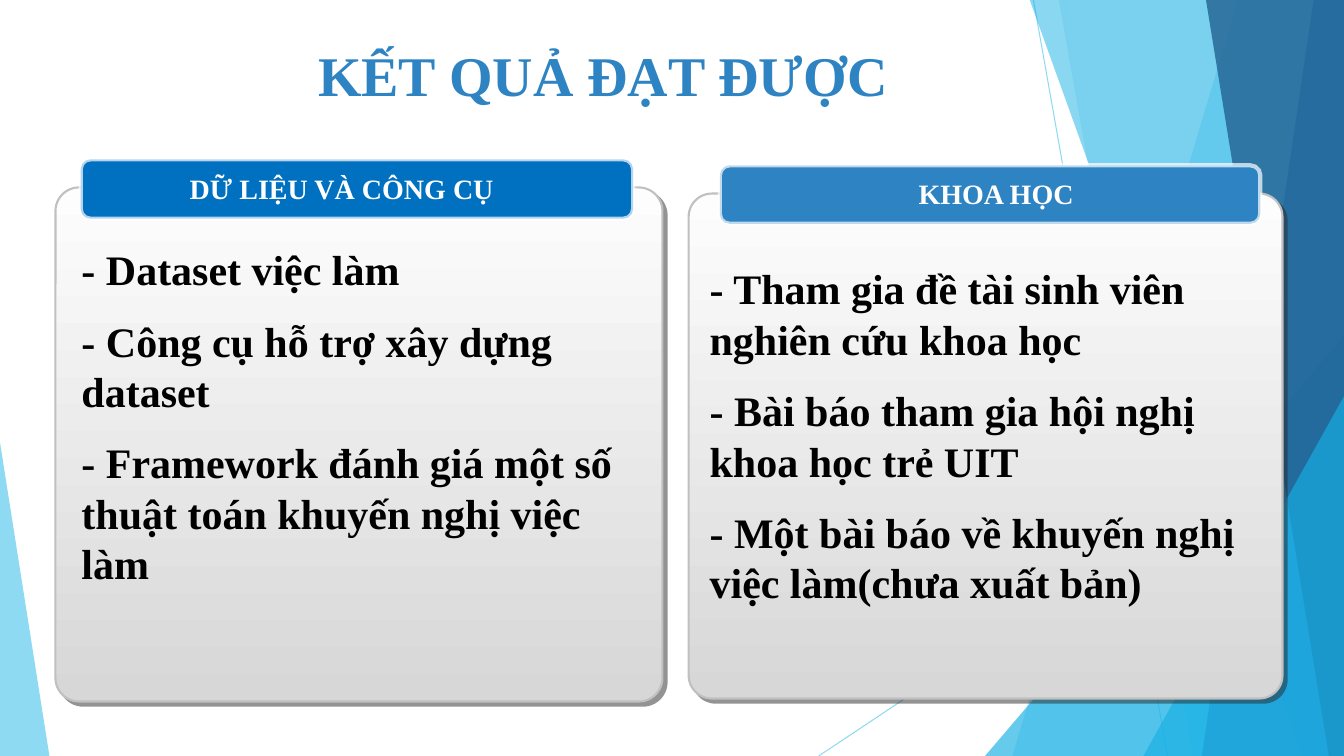
import pptx
import pptx.dml.color
import pptx.enum.dml
import pptx.enum.shapes
import pptx.enum.text
import pptx.oxml
import pptx.oxml.ns
import pptx.util

Inches = pptx.util.Inches
Pt = pptx.util.Pt
SHAPES = pptx.enum.shapes.MSO_SHAPE
ALIGN = pptx.enum.text.PP_ALIGN
ANCHOR = pptx.enum.text.MSO_ANCHOR

WIDTH, HEIGHT, TOP = 13.33, 7.5, -0.01
SKY, CYAN, BLUE, NAVY = "5FCBEF", "17B0E4", "2E83C3", "226292"
SHADOW = (
    f'<a:effectLst {pptx.oxml.ns.nsdecls("a")}>'
    '<a:outerShdw blurRad="0" dist="53340" dir="2700000" algn="ctr" rotWithShape="0">'
    '<a:srgbClr val="292929"><a:alpha val="50000"/></a:srgbClr>'
    '</a:outerShdw></a:effectLst>'
)


def color(value):
    return pptx.dml.color.RGBColor.from_string(value)


def set_alpha(fill_parent, percent):
    """Make the solid fill found below an element partly transparent."""
    solid = fill_parent.find(pptx.oxml.ns.qn("a:solidFill"))
    alpha = pptx.oxml.parse_xml(
        f'<a:alpha {pptx.oxml.ns.nsdecls("a")} val="{percent * 1000}"/>')
    solid[0].append(alpha)


def write(box, lines, size=20, ink="000000", align=ALIGN.LEFT, before=0,
          wrap=True, anchor=ANCHOR.TOP, font="Times New Roman"):
    frame = box.text_frame
    frame.word_wrap = wrap
    frame.vertical_anchor = anchor
    for index, line in enumerate(lines):
        para = frame.add_paragraph() if index else frame.paragraphs[0]
        para.alignment = align
        para.space_before = Pt(before)
        span = para.add_run()
        span.text = line
        span.font.name = font
        span.font.size = Pt(size)
        span.font.bold = True
        span.font.color.rgb = color(ink)


class Painter:
    def __init__(self, page):
        self.page = page

    def paint(self, shape, fill, alpha=100):
        shape.shadow.inherit = False
        shape.fill.solid()
        shape.fill.fore_color.rgb = color(fill)
        shape.line.fill.background()
        if alpha < 100:
            set_alpha(shape._element.spPr, alpha)

    def outline(self, shape, ink, width, alpha=100):
        shape.line.color.rgb = color(ink)
        shape.line.width = Pt(width)
        if alpha < 100:
            set_alpha(shape.line._get_or_add_ln(), alpha)

    def shape(self, kind, place, adjust, fill, alpha=100):
        shape = self.page.shapes.add_shape(kind, *map(Inches, place))
        shape.adjustments[0] = adjust
        self.paint(shape, fill, alpha)
        return shape

    def line(self, start, end):
        line = self.page.shapes.add_connector(
            pptx.enum.shapes.MSO_CONNECTOR.STRAIGHT, *map(Inches, start + end))
        line._element.spPr.append(pptx.oxml.parse_xml(
            f'<a:effectLst {pptx.oxml.ns.nsdecls("a")}/>'))
        self.outline(line, SKY, 0.75, 70)

    def band(self, top_left, bottom_left, fill, alpha):
        """Slanted band that reaches the right edge of the page."""
        corners = [(top_left, TOP), (WIDTH, TOP), (WIDTH, HEIGHT), (bottom_left, HEIGHT)]
        points = [(Inches(x), Inches(y)) for x, y in corners]
        builder = self.page.shapes.build_freeform(*points[0], scale=1.0)
        builder.add_line_segments(points[1:], close=True)
        self.paint(builder.convert_to_shape(), fill, alpha)

    def panel(self, place):
        panel = self.shape(SHAPES.ROUNDED_RECTANGLE, place, 0.046, "FDFDFD")
        panel.fill.gradient()
        panel.fill.gradient_angle = 270
        for stop, shade, position in zip(panel.fill.gradient_stops, ("FDFDFD", "D7D7D7"), (0, 1)):
            stop.color.rgb = color(shade)
            stop.position = position
        self.outline(panel, "C0C0C0", 1.5)
        properties = panel._element.spPr
        properties.remove(properties.find(pptx.oxml.ns.qn("a:effectLst")))
        properties.append(pptx.oxml.parse_xml(SHADOW))

    def header(self, place, fill):
        header = self.shape(SHAPES.ROUNDED_RECTANGLE, place, 0.167, fill)
        self.outline(header, "FFFFFF", 3, 70)

    def text(self, place, lines, **style):
        box = self.page.shapes.add_textbox(*map(Inches, place))
        write(box, lines, **style)


def main():
    deck = pptx.Presentation()
    deck.slide_width, deck.slide_height = Inches(WIDTH), Inches(HEIGHT)
    painter = Painter(deck.slides.add_slide(deck.slide_layouts[6]))

    # Faceted background
    painter.line((10.25, 0), (11.58, HEIGHT))
    painter.line((WIDTH, 4.03), (8.12, HEIGHT))
    painter.band(12.28, 10.04, SKY, 36)
    painter.band(10.5, 11.83, SKY, 20)
    painter.shape(SHAPES.ISOSCELES_TRIANGLE, (9.77, 3.33, 3.56, 4.17), 1, CYAN, 66)
    painter.band(10.21, 12.91, CYAN, 50)
    painter.band(13.03, 11.92, BLUE, 70)
    painter.band(11.96, 13.18, NAVY, 80)
    painter.shape(SHAPES.ISOSCELES_TRIANGLE, (11.34, 3.93, 1.99, 3.57), 1, CYAN, 66)
    painter.shape(SHAPES.ISOSCELES_TRIANGLE, (0, 4.39, 0.49, 3.11), 0, SKY, 70)

    # Result cards: panel, header, heading and body
    cards = [
        ((0.55, 1.86, 6.02, 5.1), (0.8, 1.58, 5.48, 0.59), "0070C0",
         (1.61, 1.65, 3.56, 0.44), "DỮ LIỆU VÀ CÔNG CỤ",
         (0.71, 2.37, 5.83, 3.64),
         ["- Dataset việc làm",
          "- Công cụ hỗ trợ xây dựng dataset",
          "- Framework đánh giá một số thuật toán khuyến nghị việc làm"]),
        ((6.83, 1.92, 5.89, 5.01), (7.14, 1.64, 5.36, 0.58), BLUE,
         (8.06, 1.7, 3.64, 0.44), "KHOA HỌC",
         (6.94, 2.56, 5.7, 3.64),
         ["- Tham gia đề tài sinh viên nghiên cứu khoa học",
          "- Bài báo tham gia hội nghị khoa học trẻ UIT",
          "- Một bài báo về khuyến nghị việc làm(chưa xuất bản)"]),
    ]
    for panel, header, fill, heading_place, heading, body_place, body in cards:
        painter.panel(panel)
        painter.header(header, fill)
        painter.text(heading_place, [heading], ink="FFFFFF", align=ALIGN.CENTER, wrap=False)
        painter.text(body_place, body, size=30, before=15)

    # Title
    painter.text((1.28, 0.35, 9.4, 0.78), ["KẾT QUẢ ĐẠT ĐƯỢC"], size=40, ink=BLUE,
                 align=ALIGN.CENTER, anchor=ANCHOR.MIDDLE)

    deck.save("out.pptx")


if __name__ == "__main__":
    main()
